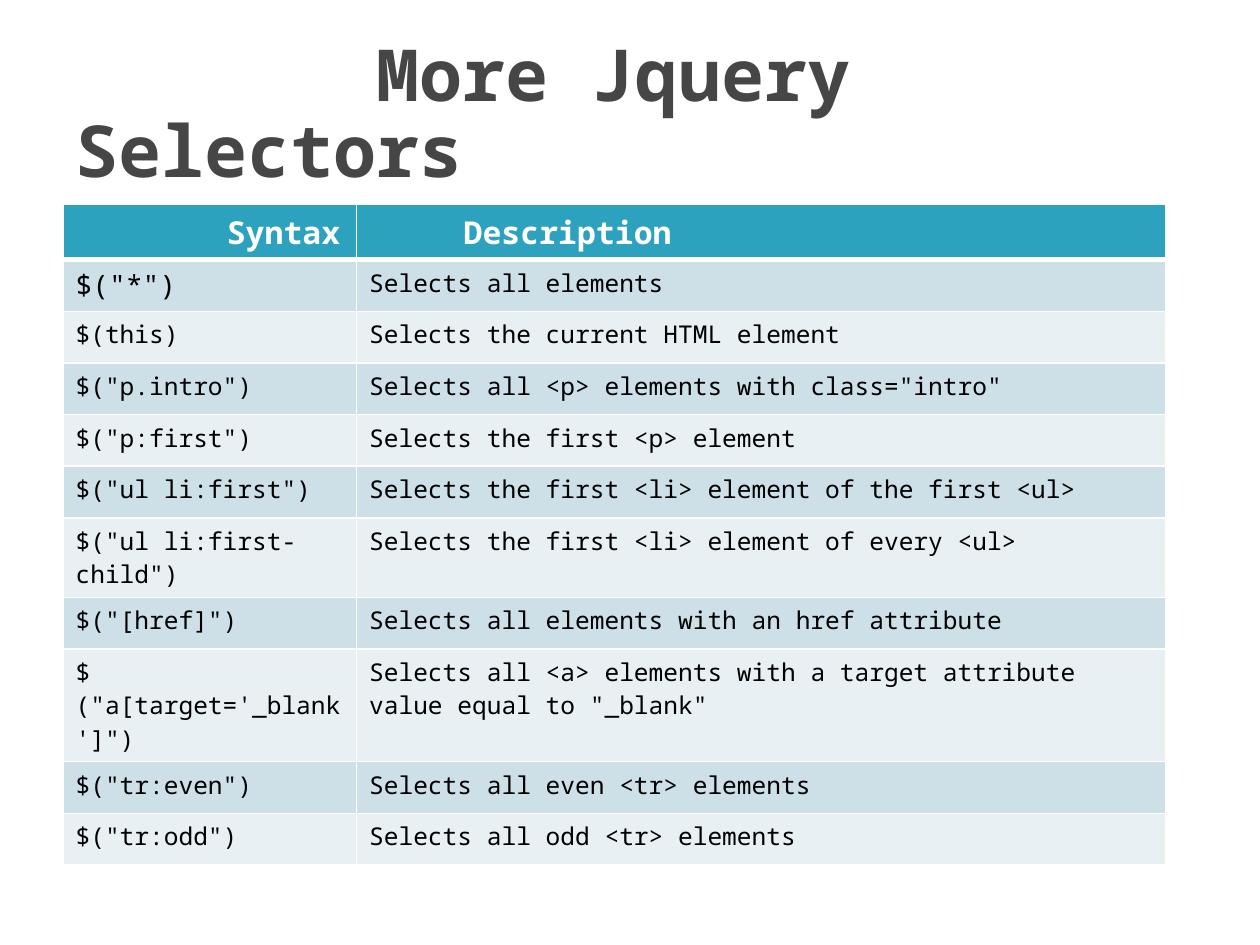
from pptx import Presentation
from pptx.dml.color import RGBColor
from pptx.enum import text
from pptx.oxml import parse_xml
from pptx.oxml.ns import nsdecls
from pptx.util import Inches, Pt

FONT = "Noto Sans Mono"
COLORS = {"title": "464646", "header": "2DA2BF", "odd": "CDE0E8",
          "even": "E8F0F4", "white": "FFFFFF", "body": "000000"}
SELECTORS = [
    ('$("*")', "Selects all elements"),
    ("$(this)", "Selects the current HTML element"),
    ('$("p.intro")', 'Selects all <p> elements with class="intro"'),
    ('$("p:first")', "Selects the first <p> element"),
    ('$("ul li:first")', "Selects the first <li> element of the first <ul>"),
    ('$("ul li:first-child")', "Selects the first <li> element of every <ul>"),
    ('$("[href]")', "Selects all elements with an href attribute"),
    ("$(\"a[target='_blank']\")",
     'Selects all <a> elements with a target attribute value equal to "_blank"'),
    ('$("tr:even")', "Selects all even <tr> elements"),
    ('$("tr:odd")', "Selects all odd <tr> elements"),
]


def color(name):
    """Return the named colour."""
    return RGBColor.from_string(COLORS[name])


def write(frame, words, size, ink, bold=False, indent=0):
    """Write one left-aligned paragraph with a first-line indent in inches."""
    frame.text = words
    paragraph = frame.paragraphs[0]
    paragraph.alignment = text.PP_ALIGN.LEFT
    font = paragraph.font
    font.name, font.size, font.bold = FONT, Pt(size), bold
    font.color.rgb = color(ink)
    if indent:
        properties = paragraph._p.get_or_add_pPr()
        properties.set("marL", "0")
        properties.set("indent", str(Inches(indent)))
    return paragraph


def add_borders(cell, bottom):
    """Give a cell white borders, the bottom one of its own width."""
    properties = cell._tc.get_or_add_tcPr()
    widths = {"lnL": 1, "lnR": 1, "lnT": 1, "lnB": bottom}
    for index, (side, width) in enumerate(widths.items()):
        properties.insert(index, parse_xml(
            f'<a:{side} {nsdecls("a")} w="{Pt(width)}"><a:solidFill>'
            f'<a:srgbClr val="{COLORS["white"]}"/></a:solidFill></a:{side}>'))


def fill_cell(cell, words, size, fill, ink="body", bold=False, indent=0, bottom=1):
    """Fill a table cell with its text, background and borders."""
    write(cell.text_frame, words, size, ink, bold, indent)
    cell.fill.solid()
    cell.fill.fore_color.rgb = color(fill)
    add_borders(cell, bottom)


def place_title(slide, left, top, width, height):
    """Place the slide title in the given box."""
    title = slide.shapes.title
    title.left, title.top = Inches(left), Inches(top)
    title.width, title.height = Inches(width), Inches(height)
    frame = title.text_frame
    frame.word_wrap = True
    frame.auto_size = text.MSO_AUTO_SIZE.NONE
    frame.vertical_anchor = text.MSO_ANCHOR.MIDDLE
    heading = write(frame, "More Jquery Selectors", 41, "title", True, 2.39)
    heading.line_spacing = 0.88


def place_selectors(slide, left, top, width, row_height):
    """Place the table of selectors in the given box."""
    count = len(SELECTORS) + 1
    table = slide.shapes.add_table(
        count, 2, Inches(left), Inches(top),
        Inches(width), Inches(row_height * count)).table
    syntax_width = 2.33
    table.columns[0].width = Inches(syntax_width)
    table.columns[1].width = Inches(width - syntax_width)
    for row in table.rows:
        row.height = Inches(row_height)
    for column, (heading, indent) in enumerate([("Syntax", 1.2), ("Description", 0.75)]):
        fill_cell(table.cell(0, column), heading, 18, "header", "white", True, indent, 3)
    for row, (syntax, description) in enumerate(SELECTORS, 1):
        band = "odd" if row % 2 else "even"
        fill_cell(table.cell(row, 0), syntax, 16 if row == 1 else 14, band)
        fill_cell(table.cell(row, 1), description, 14, band)


def build():
    """Build and save the presentation."""
    deck = Presentation()
    deck.slide_width, deck.slide_height = Inches(10), Inches(7.5)
    slide = deck.slides.add_slide(deck.slide_layouts[5])
    slide.background.fill.solid()
    slide.background.fill.fore_color.rgb = color("white")
    place_selectors(slide, 0.5, 1.62, 8.75, 0.41)
    place_title(slide, 0.5, 0.3, 9, 1.25)
    deck.save("out.pptx")


build()
